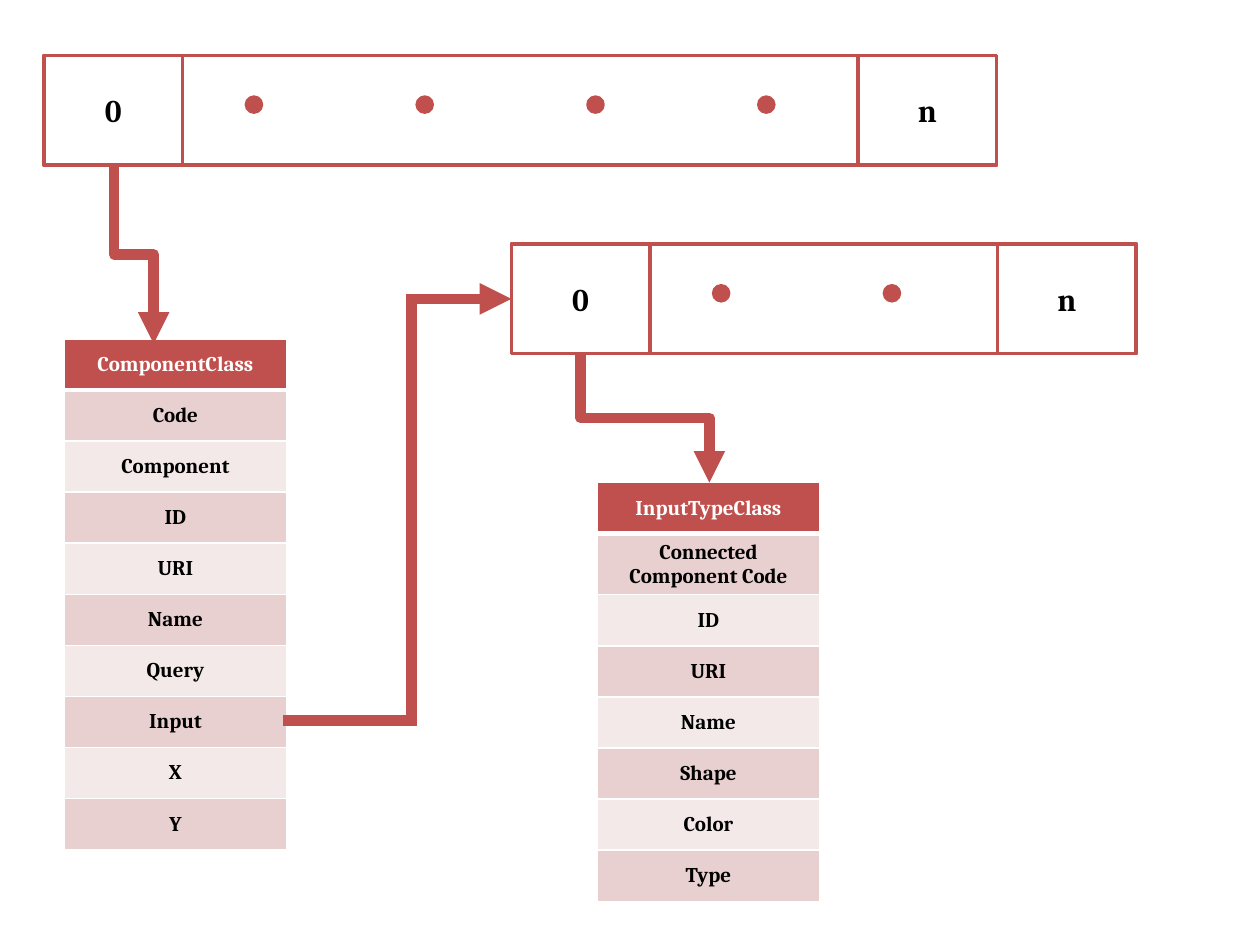
from pptx import Presentation
from pptx.dml.color import RGBColor
from pptx.enum.shapes import MSO_CONNECTOR, MSO_SHAPE
from pptx.enum.text import MSO_ANCHOR, PP_ALIGN
from pptx.oxml.ns import qn
from pptx.util import Pt
from lxml.etree import SubElement

HUES = {"red": "C0504D", "white": "FFFFFF", "black": "000000",
        "dark": "E8D0D0", "light": "F4E9E9"}
HIGH, WIDE, DOT = 62.6, 79.2, 8.6


def hue(name):
    return RGBColor.from_string(HUES[name])


class Board:
    """Draws arrays, tables and links on one slide in a shared style."""

    def __init__(self, slide, font="Cambria"):
        self.slide, self.font = slide, font

    def label(self, frame, text, size, tint):
        para = frame.paragraphs[0]
        para.alignment = PP_ALIGN.CENTER
        run = para.add_run()
        run.text = text
        run.font.name, run.font.size, run.font.bold = self.font, Pt(size), True
        run.font.color.rgb = hue(tint)

    def shape(self, kind, left, top, width, height, fill, text=""):
        item = self.slide.shapes.add_shape(
            kind, Pt(left), Pt(top), Pt(width), Pt(height))
        item.shadow.inherit = False
        item.fill.solid()
        item.fill.fore_color.rgb = hue(fill)
        item.line.color.rgb = hue("red")
        item.line.width = Pt(2)
        if text:
            item.text_frame.vertical_anchor = MSO_ANCHOR.MIDDLE
            self.label(item.text_frame, text, 18, "black")

    def array(self, left, top, width, dots):
        box = MSO_SHAPE.RECTANGLE
        self.shape(box, left, top, width, HIGH, "white")
        self.shape(box, left, top, WIDE, HIGH, "white", "0")
        self.shape(box, left + width - WIDE, top, WIDE, HIGH, "white", "n")
        for i in range(dots):
            self.shape(MSO_SHAPE.OVAL, left + 115.6 + 97.6 * i, top + 23.8,
                       DOT, DOT, "red")

    def edge(self, cell, sides, top, base):
        widths = {"L": 1, "R": 1, "T": top, "B": base}
        props = cell._tc.get_or_add_tcPr()
        for place, side in enumerate(sides):
            line = SubElement(props, qn("a:ln" + side), w=str(Pt(widths[side])))
            fill = SubElement(line, qn("a:solidFill"))
            SubElement(fill, qn("a:srgbClr"), val=HUES["white"])
            props.insert(place, line)

    def table(self, left, top, names, width=126.7, step=29.2):
        grid = self.slide.shapes.add_table(
            len(names), 1, Pt(left), Pt(top), Pt(width), Pt(step * len(names))).table
        for i, name in enumerate(names):
            grid.rows[i].height = Pt(step)
            cell = grid.cell(i, 0)
            cell.vertical_anchor = MSO_ANCHOR.MIDDLE
            cell.fill.solid()
            tint = "red" if i == 0 else "dark" if i % 2 else "light"
            cell.fill.fore_color.rgb = hue(tint)
            self.label(cell.text_frame, name, 12, "black" if i else "white")
            self.edge(cell, "LRTB", 3 if i == 1 else 1, 1 if i else 3)

    def link(self, kind, start, stop, tip=None, join="round"):
        wire = self.slide.shapes.add_connector(
            kind, *(Pt(n) for n in (*start, *stop)))
        wire.line.color.rgb = hue("red")
        wire.line.width = Pt(6)
        props = wire.element.spPr
        line = props.find(qn("a:ln"))
        SubElement(line, qn("a:" + join))
        if tip:
            SubElement(line, qn("a:" + tip), type="triangle")
        SubElement(props, qn("a:effectLst"))
        return props

    def drop(self, start, stop):
        (x, y), (right, base) = start, stop
        midx, midy = (x + right) / 2, (y + base) / 2
        dx, dy = (base - y) / 2, (right - x) / 2
        props = self.link(MSO_CONNECTOR.ELBOW, (midx + dx, midy - dy),
                          (midx - dx, midy + dy), "tailEnd")
        props.find(qn("a:xfrm")).set("rot", str(270 * 60000))

    def hook(self, start, stop):
        props = self.link(MSO_CONNECTOR.ELBOW, start, stop, "headEnd", "miter")
        props.find(qn("a:prstGeom")).set("prst", "bentConnector2")


def main():
    deck = Presentation()
    deck.slide_width, deck.slide_height = Pt(720), Pt(540)
    board = Board(deck.slides.add_slide(deck.slide_layouts[6]))

    board.array(25.2, 31.7, 544.3, 4)
    board.table(36.9, 193.6, ["ComponentClass", "Code", "Component", "ID", "URI",
                              "Name", "Query", "Input", "X", "Y"])
    board.drop((65.2, 94.3), (87.8, 196.4))

    board.array(292.2, 139.5, 357.1, 2)
    board.hook((292.2, 170.8), (235.2, 411.6))
    board.link(MSO_CONNECTOR.STRAIGHT, (238.2, 411.6), (161.6, 411.6))
    board.table(341.5, 275.8, ["InputTypeClass", "Connected Component Code", "ID",
                               "URI", "Name", "Shape", "Color", "Type"])
    board.drop((331.8, 202.1), (405.4, 275.8))
    deck.save("out.pptx")


if __name__ == "__main__":
    main()
